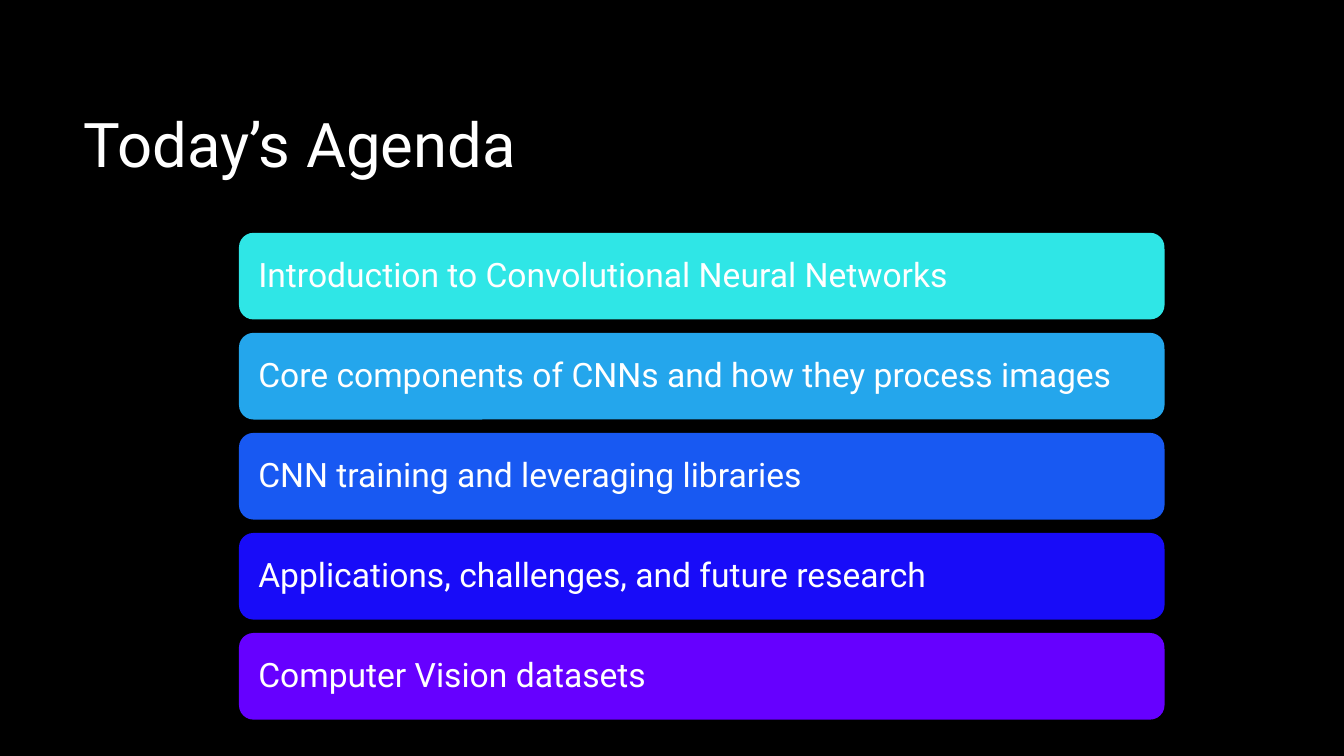
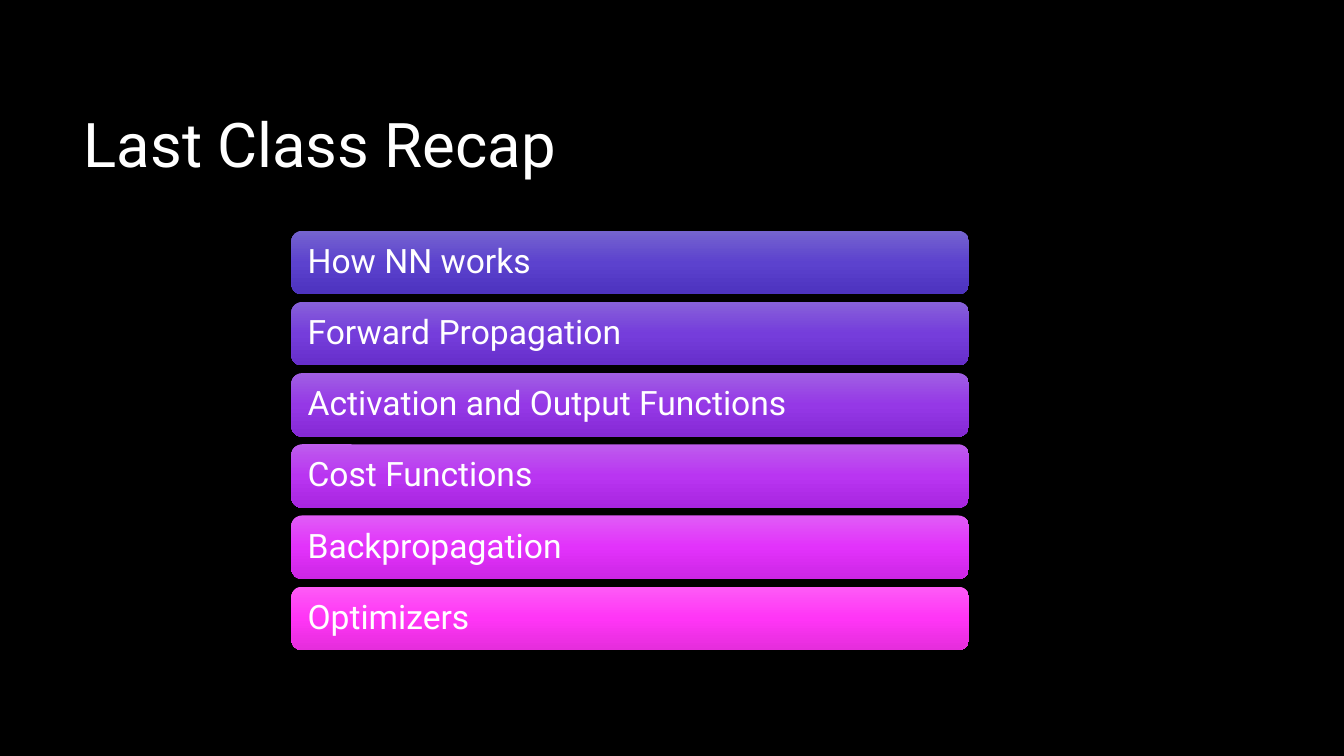
import copy
from dataclasses import dataclass

import pptx
import pptx.dml.color
import pptx.enum.shapes
import pptx.enum.text
import pptx.oxml.ns
import pptx.util

Inches = pptx.util.Inches


@dataclass(frozen=True)
class Theme:
    """Colours, font and type sizes shared by the slides."""
    background: str = "000000"
    text: str = "FFFFFF"
    font: str = "Roboto"
    title_size: int = 44
    bar_size: int = 24
    line_spacing: float = 0.9


@dataclass(frozen=True)
class BarStack:
    """Place of a column of equal bars, in inches."""
    left: float
    first_top: float
    last_top: float
    width: float
    height: float
    inset: float


THEME = Theme()

AGENDA_STACK = BarStack(2.37, 2.31, 6.28, 9.18, 0.86, 0.15)
AGENDA = [
    ("Introduction to Convolutional Neural Networks", ["2FE6E6"]),
    ("Core components of CNNs and how they process images", ["24A6EC"]),
    ("CNN training and leveraging libraries", ["1859F2"]),
    ("Applications, challenges, and future research", ["180CF8"]),
    ("Computer Vision datasets", ["6600FF"]),
]

RECAP_STACK = BarStack(2.89, 2.29, 5.82, 6.72, 0.63, 0.13)
RECAP = [
    ("How NN works", ["7564CF", "5C42CE", "4D33BF"]),
    ("Forward Propagation", ["8761D9", "753DDB", "662ECA"]),
    ("Activation and Output Functions", ["A05FE3", "9538E6", "8529D5"]),
    ("Cost Functions", ["BE5DED", "B935F1", "A825E0"]),
    ("Backpropagation", ["E05CF6", "E232FB", "CD26E5"]),
    ("Optimizers", ["FE5BF6", "FF35F6", "E52DDC"]),
]


def rgb(value):
    """Return a colour object for a hex string."""
    return pptx.dml.color.RGBColor.from_string(value)


def write_line(shape, text, size):
    """Write one left-aligned, vertically centred line in the theme style."""
    frame = shape.text_frame
    frame.text = text
    frame.word_wrap = True
    frame.auto_size = pptx.enum.text.MSO_AUTO_SIZE.NONE
    frame.vertical_anchor = pptx.enum.text.MSO_ANCHOR.MIDDLE
    para = frame.paragraphs[0]
    para.alignment = pptx.enum.text.PP_ALIGN.LEFT
    para.line_spacing = THEME.line_spacing
    para.font.name = THEME.font
    para.font.size = pptx.util.Pt(size)
    para.font.color.rgb = rgb(THEME.text)


def fill_shape(shape, colours):
    """Fill with one solid colour, or with three colours from top to bottom."""
    if len(colours) == 1:
        shape.fill.solid()
        shape.fill.fore_color.rgb = rgb(colours[0])
        return
    shape.fill.gradient()
    shape.fill.gradient_angle = 270
    first_stop = next(shape._element.iter(pptx.oxml.ns.qn("a:gs")))
    middle_stop = copy.deepcopy(first_stop)
    first_stop.addnext(middle_stop)
    middle_stop.set("pos", "50000")
    for stop, colour in zip(shape.fill.gradient_stops, colours):
        stop.color.rgb = rgb(colour)


def add_bar(page, stack, top, text, colours):
    """Add one rounded bar with its label."""
    bar = page.shapes.add_shape(
        pptx.enum.shapes.MSO_SHAPE.ROUNDED_RECTANGLE,
        Inches(stack.left), Inches(top), Inches(stack.width), Inches(stack.height))
    bar.shadow.inherit = False
    bar.line.fill.background()
    fill_shape(bar, colours)
    write_line(bar, text, THEME.bar_size)
    bar.text_frame.margin_left = bar.text_frame.margin_right = Inches(stack.inset)


def add_bar_page(deck, title, stack, bars):
    """Add a titled slide with evenly spaced bars."""
    page = deck.slides.add_slide(deck.slide_layouts.get_by_name("Title Only"))
    heading = page.shapes.title
    heading.left, heading.top = Inches(0.73), Inches(0.67)
    heading.width, heading.height = Inches(6.72), Inches(1.59)
    write_line(heading, title, THEME.title_size)
    pitch = (stack.last_top - stack.first_top) / (len(bars) - 1)
    for index, (text, colours) in enumerate(bars):
        add_bar(page, stack, stack.first_top + index * pitch, text, colours)


def main():
    """Build and save the deck."""
    deck = pptx.Presentation()
    deck.slide_width, deck.slide_height = Inches(13.33), Inches(7.5)
    background = deck.slide_master.background.fill
    background.solid()
    background.fore_color.rgb = rgb(THEME.background)
    add_bar_page(deck, "Today’s Agenda", AGENDA_STACK, AGENDA)
    add_bar_page(deck, "Last Class Recap", RECAP_STACK, RECAP)
    deck.save("out.pptx")


if __name__ == "__main__":
    main()
